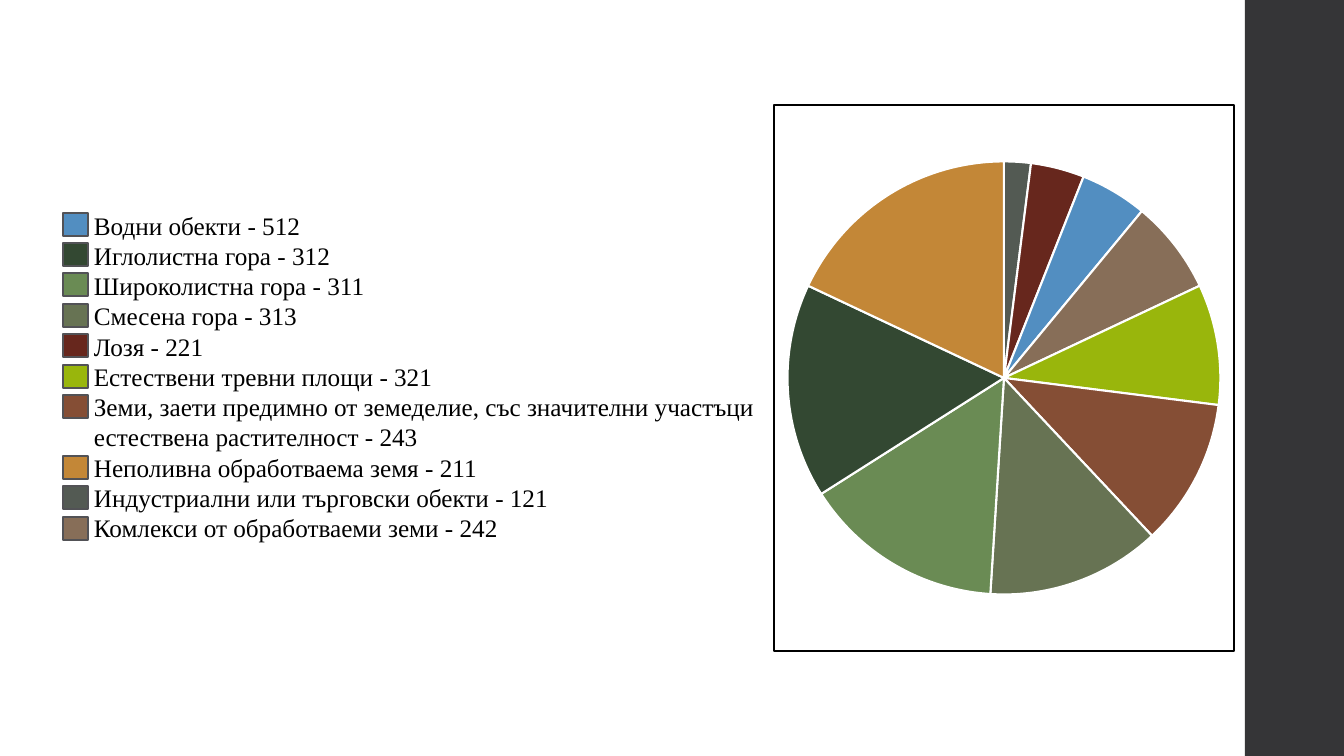
import pptx
import pptx.chart.data
import pptx.dml.color
import pptx.enum.chart
import pptx.enum.shapes
import pptx.enum.text
import pptx.oxml
import pptx.oxml.ns
import pptx.util
from dataclasses import dataclass

# label, colour, share, number of text lines
LAND_COVER = [
    ("Водни обекти - 512", "528EC1", 5, 1),
    ("Иглолистна гора - 312", "334832", 16, 1),
    ("Широколистна гора - 311", "6A8B54", 15, 1),
    ("Смесена гора - 313", "677353", 13, 1),
    ("Лозя - 221", "67271D", 4, 1),
    ("Естествени тревни площи - 321", "99B60C", 9, 1),
    ("Земи, заети предимно от земеделие, със значителни участъци естествена растителност - 243", "854E35", 11, 2),
    ("Неполивна обработваема земя - 211", "C38737", 18, 1),
    ("Индустриални или търговски обекти - 121", "535A53", 2, 1),
    ("Комлекси от обработваеми земи - 242", "876E58", 7, 1),
]

SLIDE_SIZE = (1344, 756)
SIDE_BAR = (1245, 0, 99, 756)
CHART_BOX = (773, 104, 462, 548)
PIE_BOX = {"x": 0.03, "y": 0.1, "w": 0.94, "h": 0.8}
LEGEND_BOX = (84, 205, 709, 346)
SWATCH_LEFT, SWATCH_TOP = 63, 213
SWATCH_WIDTH, SWATCH_HEIGHT = 25, 23
TEN_LINES = 304


@dataclass(frozen=True)
class Theme:
    bar: str = "353537"
    text: str = "000000"
    paper: str = "FFFFFF"
    swatch_line: str = "525256"
    legend_font: str = "Times New Roman"
    chart_font: str = "Cambria"
    legend_size: int = 18
    chart_size: int = 10
    outline: float = 1.1
    slice_line: float = 1.5


THEME = Theme()


def px(length):
    return round(length * 914400 / 100.8)


def box(lengths):
    return [px(length) for length in lengths]


def rgb(value):
    return pptx.dml.color.RGBColor.from_string(value)


def paint(target, fill, line=None, width=0):
    target.fill.solid()
    target.fill.fore_color.rgb = rgb(fill)
    if line:
        target.line.color.rgb = rgb(line)
        target.line.width = pptx.util.Pt(width)
    else:
        target.line.fill.background()


def style_font(font, name, size):
    font.name = name
    font.size = pptx.util.Pt(size)
    font.color.rgb = rgb(THEME.text)


def add_rectangle(slide, lengths, fill, line=None):
    shape = slide.shapes.add_shape(pptx.enum.shapes.MSO_SHAPE.RECTANGLE, *box(lengths))
    shape.shadow.inherit = False
    paint(shape, fill, line, THEME.outline)


def frame_chart(chart):
    namespaces = pptx.oxml.ns.nsdecls("c", "a")
    frame = pptx.oxml.parse_xml(
        f'<c:spPr {namespaces}><a:solidFill><a:srgbClr val="{THEME.paper}"/></a:solidFill>'
        f'<a:ln w="{pptx.util.Pt(THEME.outline)}"><a:solidFill>'
        f'<a:srgbClr val="{THEME.text}"/></a:solidFill></a:ln></c:spPr>'
    )
    chart_element = chart.element.find(pptx.oxml.ns.qn("c:chart"))
    chart_element.addnext(frame)
    places = "".join(f'<c:{side} val="{value}"/>' for side, value in PIE_BOX.items())
    layout = pptx.oxml.parse_xml(
        f'<c:layout {namespaces}><c:manualLayout><c:layoutTarget val="inner"/>'
        f'<c:xMode val="edge"/><c:yMode val="edge"/>{places}</c:manualLayout></c:layout>'
    )
    plot_area = chart_element.find(pptx.oxml.ns.qn("c:plotArea"))
    for old_layout in plot_area.findall(pptx.oxml.ns.qn("c:layout")):
        plot_area.remove(old_layout)
    plot_area.insert(0, layout)


def add_pie(slide):
    slices = sorted(LAND_COVER, key=lambda cover: cover[2])
    data = pptx.chart.data.CategoryChartData()
    data.categories = [str(number) for number in range(1, len(slices) + 1)]
    data.add_series("Series 1", [share for _, _, share, _ in slices])
    chart = slide.shapes.add_chart(
        pptx.enum.chart.XL_CHART_TYPE.PIE, *box(CHART_BOX), data
    ).chart
    chart.has_legend = False
    chart.has_title = False
    style_font(chart.font, THEME.chart_font, THEME.chart_size)
    plot = chart.plots[0]
    plot.vary_by_categories = True
    for index, (_, colour, _, _) in enumerate(slices):
        paint(plot.series[0].points[index].format, colour, THEME.paper, THEME.slice_line)
    frame_chart(chart)


def add_legend(slide):
    text_frame = slide.shapes.add_textbox(*box(LEGEND_BOX)).text_frame
    text_frame.word_wrap = True
    text_frame.auto_size = pptx.enum.text.MSO_AUTO_SIZE.SHAPE_TO_FIT_TEXT
    text_frame.text = "\n".join(label for label, _, _, _ in LAND_COVER)
    for paragraph in text_frame.paragraphs:
        style_font(paragraph.runs[0].font, THEME.legend_font, THEME.legend_size)
    line = 0
    for _, colour, _, line_count in LAND_COVER:
        top = SWATCH_TOP + line * TEN_LINES // 10
        add_rectangle(
            slide, (SWATCH_LEFT, top, SWATCH_WIDTH, SWATCH_HEIGHT), colour, THEME.swatch_line
        )
        line += line_count


def main():
    presentation = pptx.Presentation()
    presentation.slide_width, presentation.slide_height = box(SLIDE_SIZE)
    slide = presentation.slides.add_slide(presentation.slide_layouts[6])
    slide.background.fill.solid()
    slide.background.fill.fore_color.rgb = rgb(THEME.paper)
    add_rectangle(slide, SIDE_BAR, THEME.bar)
    add_pie(slide)
    add_legend(slide)
    presentation.save("out.pptx")


if __name__ == "__main__":
    main()
